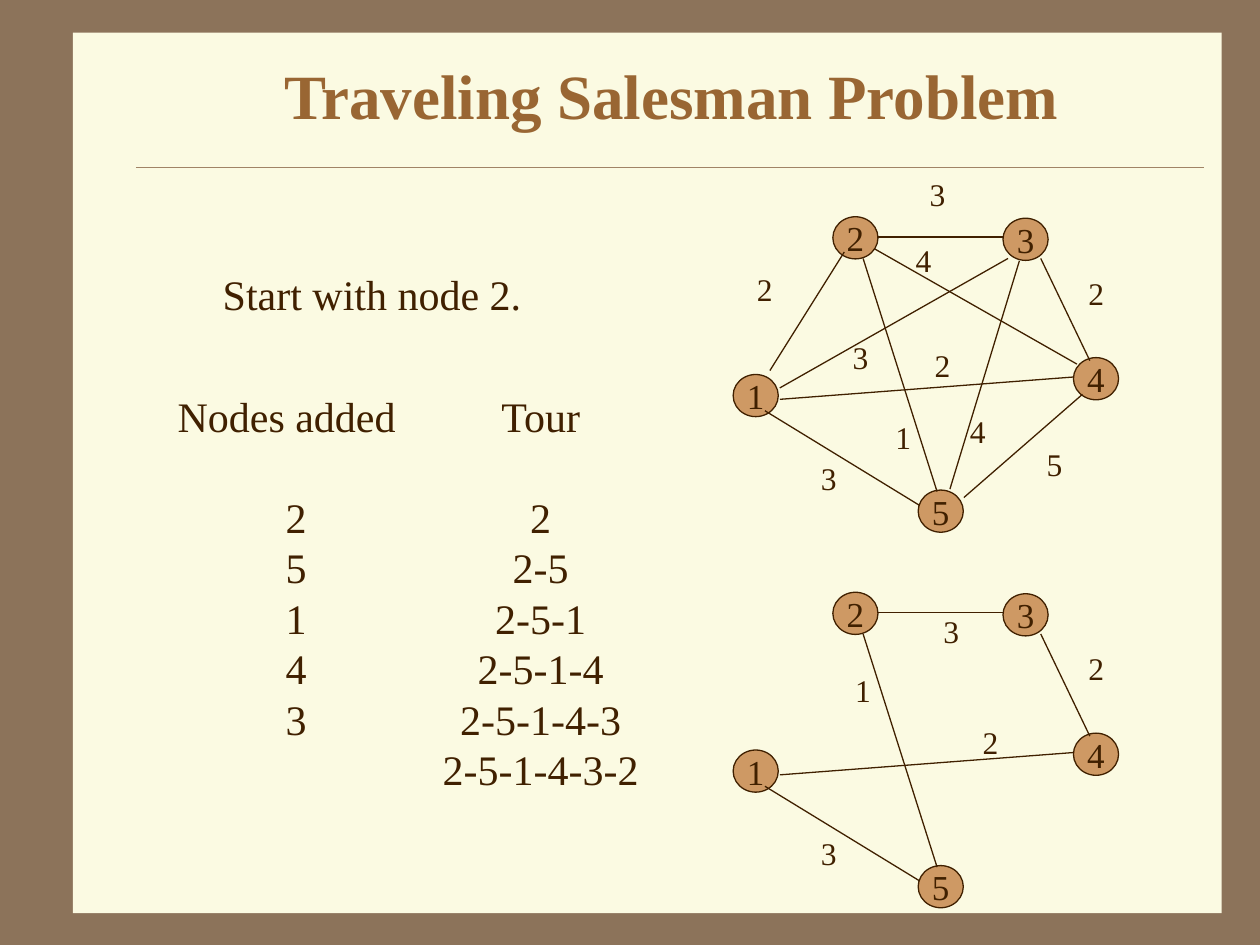
import pptx
import pptx.dml.color
import pptx.enum.shapes
import pptx.enum.text
import pptx.oxml.xmlchemy
import pptx.util

Cm = pptx.util.Cm
Pt = pptx.util.Pt
RGBColor = pptx.dml.color.RGBColor
Shape = pptx.enum.shapes.MSO_SHAPE
Align = pptx.enum.text.PP_ALIGN
Anchor = pptx.enum.text.MSO_ANCHOR
new_element = pptx.oxml.xmlchemy.OxmlElement

FRAME = RGBColor(0x8C, 0x73, 0x5A)
PAPER = RGBColor(0xFB, 0xFA, 0xE2)
RULE = RGBColor(0xA0, 0x83, 0x66)
HEADING = RGBColor(0x99, 0x66, 0x33)
NODE = RGBColor(0xCE, 0x99, 0x64)
INK = RGBColor(0x40, 0x20, 0x00)
FONT = "Times New Roman"

NODE_SIZE = (0.91, 0.85)
LABEL_SIZE = (0.81, 1.02)
NODES = {
    "1": (0, 3.18),
    "2": (2.01, 0),
    "3": (5.44, 0.03),
    "4": (6.86, 2.84),
    "5": (3.73, 5.51),
}
EDGES = {
    "1-2": (0.74, 3.10, 2.24, 0.71),
    "2-3": (2.90, 0.41, 5.44, 0.41),
    "1-5": (0.64, 3.91, 3.76, 5.82),
    "3-4": (6.20, 0.84, 7.19, 2.90),
    "4-5": (7.04, 3.58, 4.65, 5.66),
    "2-5": (2.62, 0.84, 4.11, 5.54),
    "1-3": (0.94, 3.45, 5.54, 0.84),
    "1-4": (0.94, 3.68, 6.86, 3.23),
    "3-5": (5.77, 0.89, 4.37, 5.49),
    "2-4": (2.84, 0.64, 6.93, 2.97),
}
WEIGHTS = {
    "1-2": "2", "2-3": "3", "1-5": "3", "3-4": "2", "4-5": "5",
    "2-5": "1", "1-3": "3", "1-4": "2", "3-5": "4", "2-4": "4",
}
FULL_LABELS = {
    "1-2": (0.23, 0.94),
    "2-3": (3.71, -0.97),
    "1-5": (1.52, 4.75),
    "3-4": (6.91, 1.02),
    "4-5": (6.07, 4.47),
    "2-5": (3.02, 3.94),
    "1-3": (2.16, 2.31),
    "1-4": (3.81, 2.49),
    "3-5": (4.52, 3.81),
    "2-4": (3.43, 0.36),
}
TOUR_LABELS = {
    "2-3": (3.99, 0.28),
    "1-5": (1.52, 4.75),
    "3-4": (6.91, 1.02),
    "2-5": (2.21, 1.47),
    "1-4": (4.78, 2.51),
}
ADDED_NODES = ["2", "5", "1", "4", "3"]
TOUR_STOPS = ADDED_NODES + ["2"]


def style_text(frame, size, color=INK, bold=False, align=Align.LEFT):
    for paragraph in frame.paragraphs:
        paragraph.alignment = align
        for run in paragraph.runs:
            run.font.name = FONT
            run.font.size = Pt(size)
            run.font.bold = bold
            run.font.color.rgb = color


def add_text(shapes, left, top, width, height, words, size):
    textbox = shapes.add_textbox(Cm(left), Cm(top), Cm(width), Cm(height))
    textbox.text_frame.word_wrap = False
    textbox.text_frame.text = words
    style_text(textbox.text_frame, size)
    return textbox.text_frame


def add_line(shapes, start_x, start_y, end_x, end_y, color=INK, weight=0.75):
    line = shapes.add_connector(
        pptx.enum.shapes.MSO_CONNECTOR.STRAIGHT,
        Cm(start_x), Cm(start_y), Cm(end_x), Cm(end_y))
    line.line.color.rgb = color
    line.line.width = Pt(weight)
    line._element.spPr.append(new_element("a:effectLst"))


def add_page(slide, left, top, width, height):
    slide.background.fill.solid()
    slide.background.fill.fore_color.rgb = FRAME
    page = slide.shapes.add_shape(
        Shape.RECTANGLE, Cm(left), Cm(top), Cm(width), Cm(height))
    page.shadow.inherit = False
    page.fill.solid()
    page.fill.fore_color.rgb = PAPER
    page.line.fill.background()
    rule_y = top + 2.72
    add_line(slide.shapes, left + 1.27, rule_y, left + 22.81, rule_y, RULE, 0.25)


def place_title(slide, left, top, width, height):
    title = slide.shapes.title
    title.element.getparent().append(title.element)
    title.left, title.top = Cm(left), Cm(top)
    title.width, title.height = Cm(width), Cm(height)
    title.text_frame.text = "Traveling Salesman Problem"
    title.text_frame.vertical_anchor = Anchor.MIDDLE
    style_text(title.text_frame, 36, HEADING, True, Align.CENTER)


def set_centre_tabs(paragraph, positions):
    tabs = new_element("a:tabLst")
    for position in positions:
        tab = new_element("a:tab")
        tab.set("pos", str(int(Cm(position))))
        tab.set("algn", "ctr")
        tabs.append(tab)
    paragraph._p.get_or_add_pPr().append(tabs)


def add_steps(slide, left, top, width, height):
    rows = ["Nodes added\tTour"]
    for count in range(1, len(TOUR_STOPS) + 1):
        added = ADDED_NODES[count - 1] if count <= len(ADDED_NODES) else ""
        rows.append(f"\t{added}\t{'-'.join(TOUR_STOPS[:count])}")
    steps = add_text(slide.shapes, left, top, width, height, "\n".join(rows), 24)
    steps.paragraphs[1].space_before = Pt(28.8)
    for paragraph in steps.paragraphs:
        paragraph.line_spacing = Pt(28.8)
        set_centre_tabs(paragraph, (2.39, 7.32))


def add_graph(slide, left, top, labels):
    graph = slide.shapes.add_group_shape().shapes
    for name, (x, y) in NODES.items():
        node = graph.add_shape(
            Shape.OVAL, Cm(left + x), Cm(top + y), *map(Cm, NODE_SIZE))
        node.shadow.inherit = False
        node.fill.solid()
        node.fill.fore_color.rgb = NODE
        node.line.color.rgb = INK
        node.line.width = Pt(0.75)
        node.text_frame.word_wrap = False
        node.text_frame.vertical_anchor = Anchor.MIDDLE
        node.text_frame.text = name
        style_text(node.text_frame, 20, align=Align.CENTER)
    for edge, (x, y) in labels.items():
        start_x, start_y, end_x, end_y = EDGES[edge]
        add_line(graph, left + start_x, top + start_y, left + end_x, top + end_y)
        add_text(graph, left + x, top + y, *LABEL_SIZE, WEIGHTS[edge], 18)


def main():
    presentation = pptx.Presentation()
    presentation.slide_width = Cm(25.4)
    presentation.slide_height = Cm(19.05)
    slide = presentation.slides.add_slide(presentation.slide_layouts[5])
    add_page(slide, 1.47, 0.66, 23.16, 17.75)
    place_title(slide, 2.74, 0.84, 21.59, 2.11)
    add_text(slide.shapes, 4.24, 5.28, 6.53, 1.27, "Start with node 2.", 24)
    add_steps(slide, 3.33, 7.75, 9.8, 8.38)
    add_graph(slide, 14.78, 4.37, FULL_LABELS)
    add_graph(slide, 14.78, 11.94, TOUR_LABELS)
    presentation.save("out.pptx")


if __name__ == "__main__":
    main()
